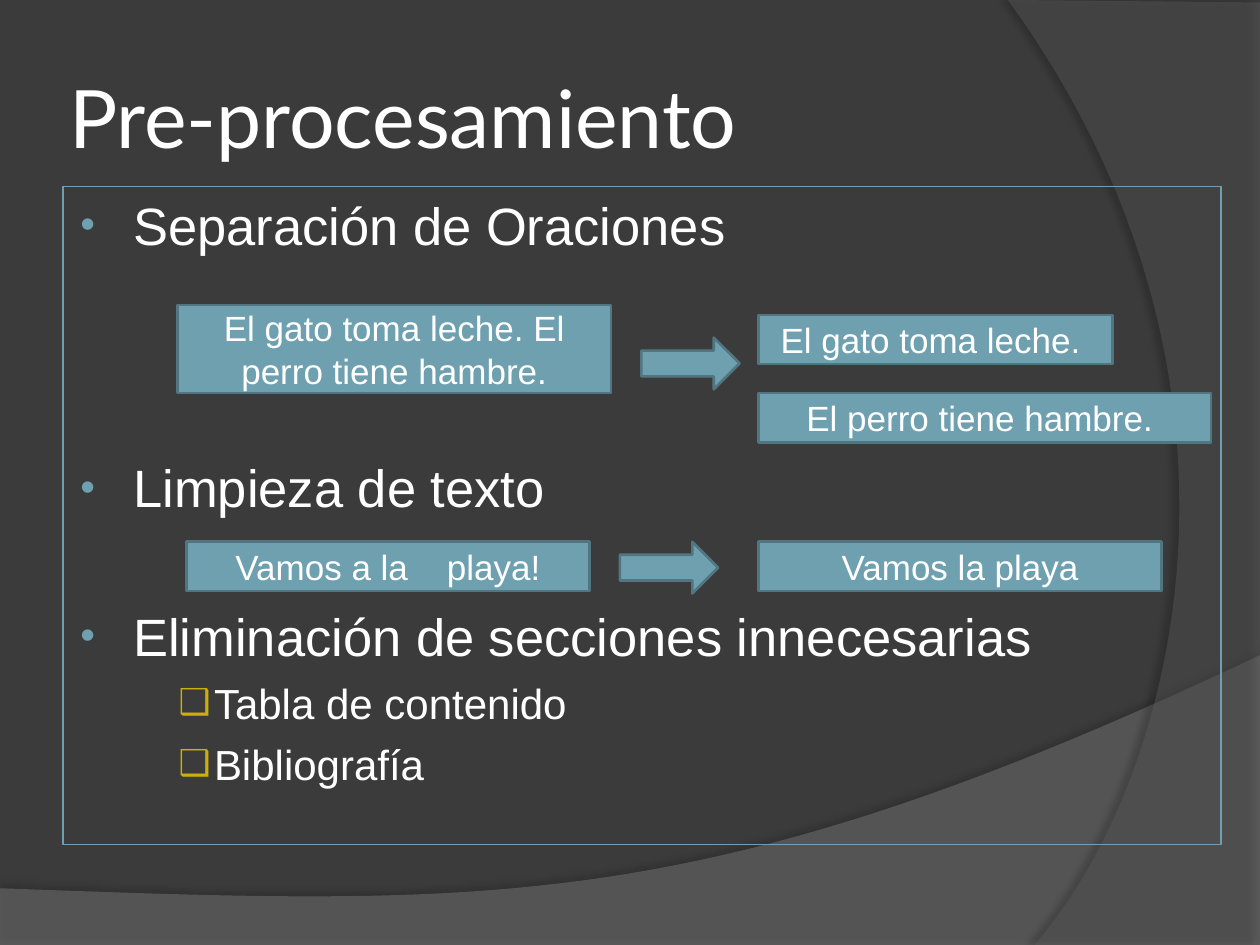
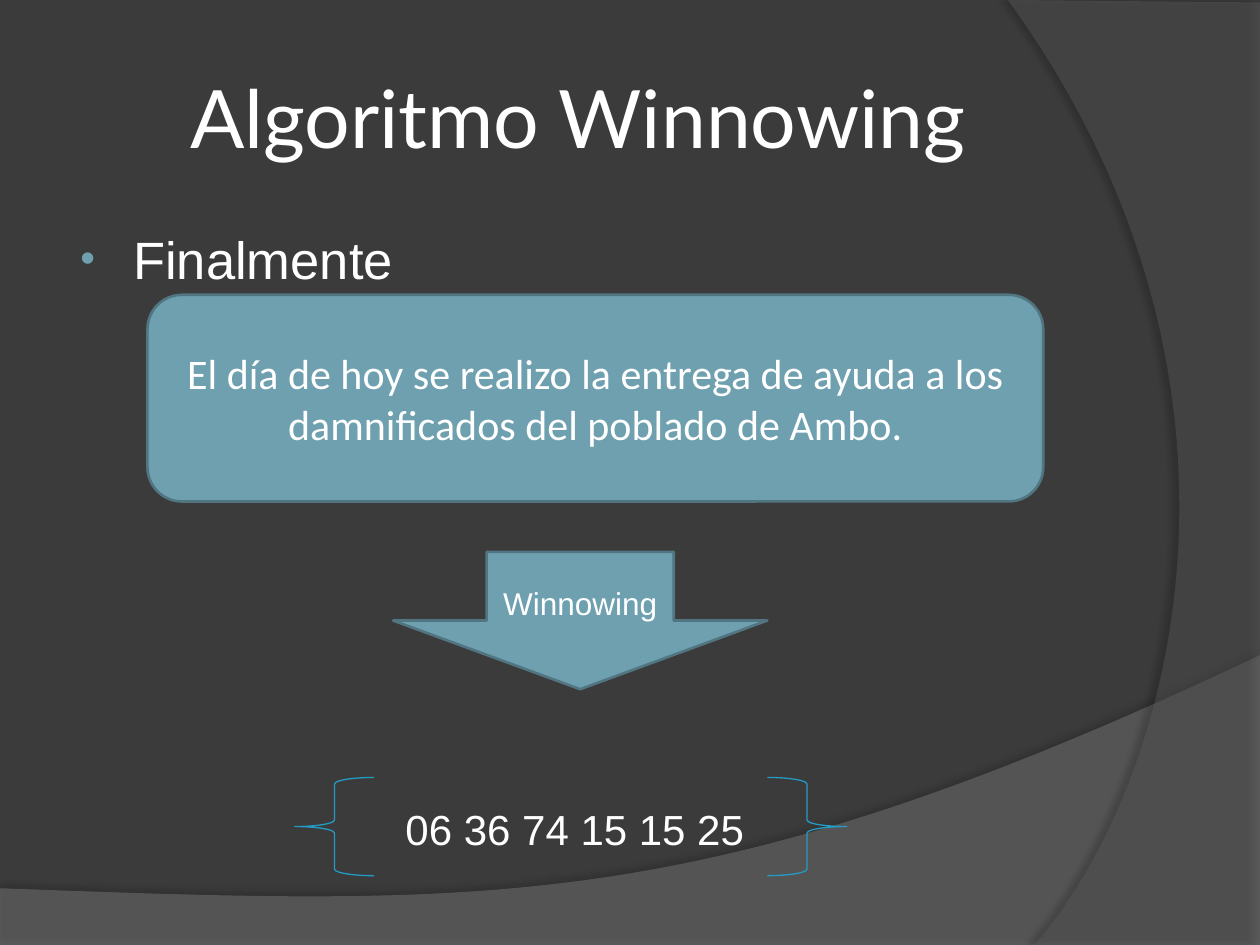
from dataclasses import dataclass

from lxml.etree import SubElement
from pptx import Presentation
from pptx.dml.color import RGBColor
from pptx.enum.shapes import MSO_SHAPE
from pptx.enum.text import MSO_ANCHOR, MSO_AUTO_SIZE, PP_ALIGN
from pptx.oxml.ns import qn
from pptx.util import Inches, Pt


@dataclass(frozen=True)
class Theme:
    background: str = "3B3B3B"
    text: str = "FFFFFF"
    accent: str = "6EA0B0"
    accent_edge: str = "517682"
    gold: str = "CCAF0A"
    brace: str = "239BC2"
    title_font: str = "Lato"
    body_font: str = "Arial"
    quote_font: str = "Calibri"
    title_size: int = 46
    topic_size: int = 30
    detail_size: int = 24
    example_size: int = 20
    label_size: int = 18


THEME = Theme()

# Bands: start, then ("line", point) or ("curve", control, control, end)
BANDS = [
    dict(start=(0, 7.05), color="7F7F7F", alpha=45,
         steps=[("line", (0, 7.51)), ("line", (10, 7.51)), ("line", (10, 5.2)),
                ("curve", (5.59, 7.29), (3.91, 7.19), (0, 7.05))],
         shadow=dict(alpha=35, blur=4, distance=3.5, angle=270)),
    dict(start=(10, 0.02), color="5E5E5E", alpha=40,
         steps=[("line", (10, 7.5)), ("line", (8.21, 7.5)),
                ("curve", (9.35, 6.19), (10.18, 3), (8, 0))],
         shadow=dict(alpha=45, blur=4, distance=4, angle=180)),
]

# Bullet styles: character, colour, size %, left margin, hanging indent, text size
TOPIC = ("•", THEME.accent, 80, 0.46, -0.42, THEME.topic_size)
DETAIL = ("❑", THEME.gold, 85, 1.1, -0.28, THEME.detail_size)

# Outline lines: style, text, points before
STEPS = [
    (TOPIC, "Separación de Oraciones", 4),
    (TOPIC, "Limpieza de texto", 114),
    (TOPIC, "Eliminación de secciones innecesarias", 49),
    (DETAIL, "Tabla de contenido", 6),
    (DETAIL, "Bibliografía", 6),
]
CLOSING = [(TOPIC, "Finalmente", 4)]

# Example boxes: text, (left, top, width, height)
RESULT_LEFT, ROW_HEIGHT = 6.02, 0.39
EXAMPLES = [
    ("El gato toma leche. El perro tiene hambre.", (1.41, 2.42, 3.44, 0.7)),
    ("El gato toma leche. ", (RESULT_LEFT, 2.5, 2.81, ROW_HEIGHT)),
    ("El perro tiene hambre. ", (RESULT_LEFT, 3.12, 3.59, ROW_HEIGHT)),
    ("Vamos a la    playa!", (1.48, 4.3, 3.2, ROW_HEIGHT)),
    ("Vamos la playa", (RESULT_LEFT, 4.3, 3.2, ROW_HEIGHT)),
]
STEP_ARROWS = [(5.09, 2.68), (4.92, 4.3)]
ARROW_SIZE = (0.78, 0.41)

SENTENCE = "El día de hoy se realizo la entrega de ayuda a los damnificados del poblado de Ambo."
FINGERPRINT = "06 36 74 15 15 25"
FINGERPRINT_LEFT, FINGERPRINT_WIDTH = 3.12, 2.97
BRACE_TOP, BRACE_SIZE = 6.17, (0.63, 0.78)
BRACES = [(MSO_SHAPE.LEFT_BRACE, 2.34),
          (MSO_SHAPE.RIGHT_BRACE, FINGERPRINT_LEFT + FINGERPRINT_WIDTH)]


def rgb(color):
    return RGBColor.from_string(color)


def inches(*lengths):
    return [Inches(length) for length in lengths]


def add_run(paragraph, text, size, font=THEME.body_font):
    run = paragraph.add_run()
    run.text = text
    run.font.size = Pt(size)
    run.font.name = font
    run.font.color.rgb = rgb(THEME.text)


def curve_points(start, first, second, end, count=48):
    """Points along a cubic Bézier curve, without its start."""
    for step in range(1, count + 1):
        t = step / count
        u = 1 - t
        yield tuple(u**3 * a + 3 * u * u * t * b + 3 * u * t * t * c + t**3 * d
                    for a, b, c, d in zip(start, first, second, end))


def add_alpha(color_element, percent):
    SubElement(color_element, qn("a:alpha"), val=str(percent * 1000))


def add_band(slide, layout, position, band):
    """Draw a translucent band and hand it to the layout, behind its text."""
    points = [band["start"]]
    for kind, *targets in band["steps"]:
        points += curve_points(points[-1], *targets) if kind == "curve" else targets
    builder = slide.shapes.build_freeform(*inches(*points[0]))
    builder.add_line_segments([inches(*point) for point in points[1:]], close=True)
    shape = builder.convert_to_shape()
    shape.fill.solid()
    shape.fill.fore_color.rgb = rgb(band["color"])
    shape.line.fill.background()
    properties = shape.element.spPr
    add_alpha(properties.find(qn("a:solidFill")).find(qn("a:srgbClr")), band["alpha"])
    shape.shadow.inherit = False
    shadow = band["shadow"]
    outer = SubElement(properties.find(qn("a:effectLst")), qn("a:outerShdw"),
                       blurRad=str(Pt(shadow["blur"])), dist=str(Pt(shadow["distance"])),
                       dir=str(shadow["angle"] * 60000), algn="ctr", rotWithShape="0")
    add_alpha(SubElement(outer, qn("a:srgbClr"), val="000000"), shadow["alpha"])
    layout.shapes.element.insert(2 + position, shape.element)


def add_slide(prs, layout, title, align=PP_ALIGN.LEFT):
    slide = prs.slides.add_slide(layout)
    heading = slide.shapes.title
    heading.left, heading.top, heading.width, heading.height = inches(0.5, 0.3, 8.17, 1.25)
    frame = heading.text_frame
    frame.margin_left = frame.margin_right = Inches(0.05)
    frame.margin_top = frame.margin_bottom = Inches(0.05)
    frame.vertical_anchor = MSO_ANCHOR.MIDDLE
    frame.auto_size = MSO_AUTO_SIZE.NONE
    paragraph = frame.paragraphs[0]
    paragraph.alignment = align
    add_run(paragraph, title, THEME.title_size, THEME.title_font)
    return slide


def add_outline(slide, place, lines):
    outline = slide.shapes.add_textbox(*inches(*place))
    frame = outline.text_frame
    frame.word_wrap = True
    for number, (style, text, before) in enumerate(lines):
        bullet, color, percent, margin, indent, size = style
        paragraph = frame.add_paragraph() if number else frame.paragraphs[0]
        paragraph.space_before = Pt(before)
        add_run(paragraph, text, size)
        properties = paragraph._p.get_or_add_pPr()
        properties.set("marL", str(Inches(margin)))
        properties.set("indent", str(Inches(indent)))
        SubElement(SubElement(properties, qn("a:buClr")), qn("a:srgbClr"), val=color)
        SubElement(properties, qn("a:buSzPct"), val=str(percent * 1000))
        SubElement(properties, qn("a:buFont"), typeface=THEME.body_font)
        SubElement(properties, qn("a:buChar"), char=bullet)
    return outline


def add_block(slide, kind, place, text="", size=THEME.example_size, font=THEME.body_font):
    """Add a filled accent shape with centred text."""
    block = slide.shapes.add_shape(kind, *inches(*place))
    block.shadow.inherit = False
    block.fill.solid()
    block.fill.fore_color.rgb = rgb(THEME.accent)
    block.line.color.rgb = rgb(THEME.accent_edge)
    block.line.width = Pt(1.5)
    if text:
        frame = block.text_frame
        frame.word_wrap = True
        frame.vertical_anchor = MSO_ANCHOR.MIDDLE
        frame.paragraphs[0].alignment = PP_ALIGN.CENTER
        add_run(frame.paragraphs[0], text, size, font)


def fill_preprocessing(slide):
    outline = add_outline(slide, (0.5, 1.48, 9.19, 5.22), STEPS)
    outline.line.color.rgb = rgb(THEME.accent)
    outline.line.width = Pt(0.75)
    for text, place in EXAMPLES:
        add_block(slide, MSO_SHAPE.RECTANGLE, place, text)
    for corner in STEP_ARROWS:
        add_block(slide, MSO_SHAPE.RIGHT_ARROW, corner + ARROW_SIZE)


def fill_winnowing(slide):
    add_outline(slide, (0.5, 1.75, 8.17, 4.95), CLOSING)
    add_block(slide, MSO_SHAPE.ROUNDED_RECTANGLE, (1.17, 2.34, 7.11, 1.64),
              SENTENCE, THEME.detail_size, THEME.quote_font)
    add_block(slide, MSO_SHAPE.DOWN_ARROW, (FINGERPRINT_LEFT, 4.38, FINGERPRINT_WIDTH, 1.09),
              "Winnowing", THEME.label_size)
    for kind, left in BRACES:
        brace = slide.shapes.add_shape(kind, *inches(left, BRACE_TOP, *BRACE_SIZE))
        brace.shadow.inherit = False
        brace.fill.background()
        brace.line.color.rgb = rgb(THEME.brace)
        brace.line.width = Pt(0.75)
    fingerprint = slide.shapes.add_textbox(
        *inches(FINGERPRINT_LEFT, 6.33, FINGERPRINT_WIDTH, 0.5))
    fingerprint.text_frame.word_wrap = True
    add_run(fingerprint.text_frame.paragraphs[0], FINGERPRINT, THEME.detail_size)


def main():
    prs = Presentation()
    prs.slide_width, prs.slide_height = inches(10, 7.5)
    background = prs.slide_master.background.fill
    background.solid()
    background.fore_color.rgb = rgb(THEME.background)
    layout = prs.slide_layouts.get_by_name("Title Only")

    preprocessing = add_slide(prs, layout, "Pre-procesamiento")
    for position, band in enumerate(BANDS):
        add_band(preprocessing, layout, position, band)
    fill_preprocessing(preprocessing)
    fill_winnowing(add_slide(prs, layout, "Algoritmo Winnowing", PP_ALIGN.CENTER))
    prs.save("out.pptx")


if __name__ == "__main__":
    main()
